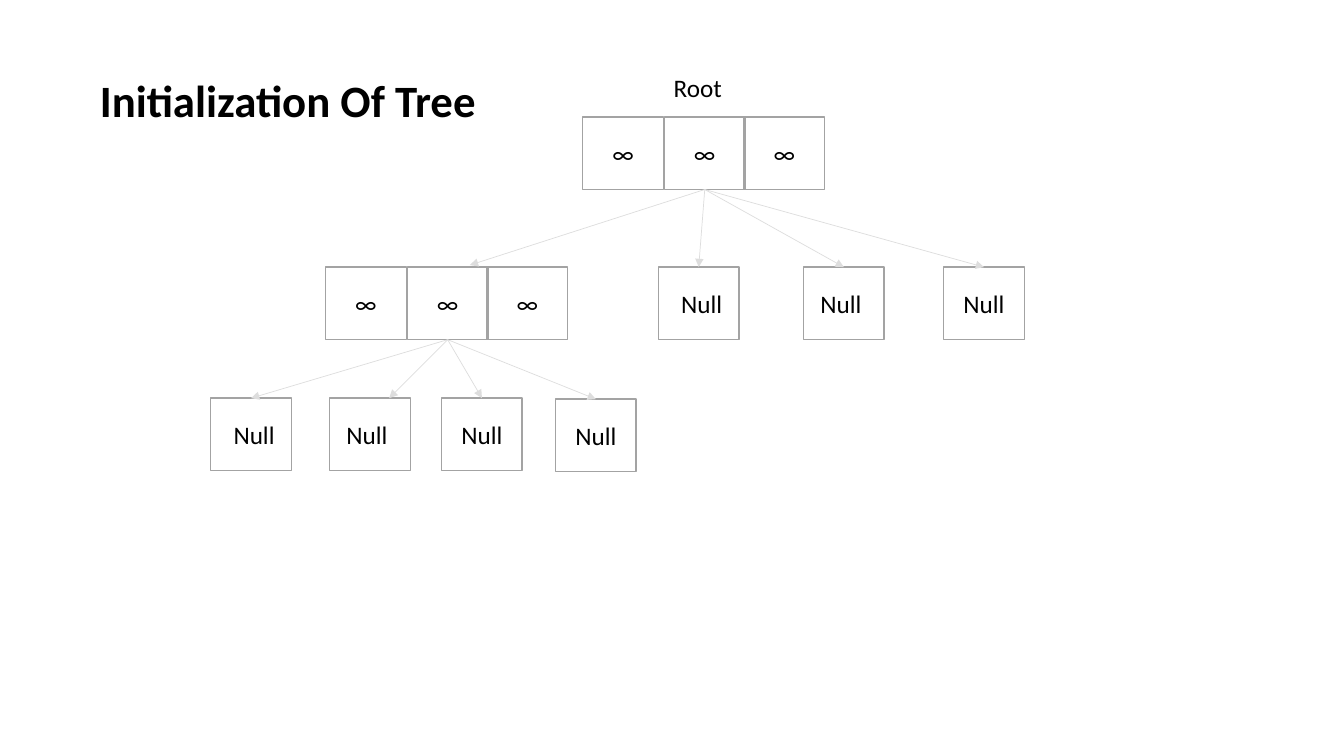
from lxml.etree import SubElement
from pptx import Presentation
from pptx.dml.color import RGBColor
from pptx.enum.shapes import MSO_CONNECTOR, MSO_SHAPE
from pptx.enum.text import MSO_ANCHOR, PP_ALIGN
from pptx.oxml.ns import qn
from pptx.util import Pt

SCALE = 9144  # EMU per px, 100 px to the inch
COLORS = {"text": "000000", "border": "A3A3A3", "arrow": "DDDDDD"}
FONT = "Calibri"
CELL_WIDTH, CELL_HEIGHT = 80, 72
CELL_OFFSETS = (0, 81, 160)
TOP, BOTTOM = 0, 2


def px(*lengths):
    return [length * SCALE for length in lengths]


def color(name):
    return RGBColor.from_string(COLORS[name])


def write(shape, text, size=18, bold=False, align=PP_ALIGN.CENTER):
    frame = shape.text_frame
    frame.text = text
    frame.word_wrap = True
    frame.vertical_anchor = MSO_ANCHOR.MIDDLE
    paragraph = frame.paragraphs[0]
    paragraph.alignment = align
    font = paragraph.runs[0].font
    font.name, font.size, font.bold = FONT, Pt(size), bold
    font.color.rgb = color("text")


def add_title(slide, text):
    title = slide.shapes.title
    title.left, title.top, title.width, title.height = px(89, 67, 397, 64)
    write(title, text, size=32, bold=True, align=PP_ALIGN.LEFT)


def add_label(slide, text, left, top, width, height):
    write(slide.shapes.add_textbox(*px(left, top, width, height)), text)


def add_cell(slide, text, left, top, shift=0):
    """Draw one box; shift moves its text sideways by that many px."""
    cell = slide.shapes.add_shape(
        MSO_SHAPE.RECTANGLE, *px(left, top, CELL_WIDTH, CELL_HEIGHT))
    cell.shadow.inherit = False
    cell.fill.background()
    cell.line.color.rgb = color("border")
    cell.line.width = Pt(1)
    write(cell, text)
    frame = cell.text_frame
    frame.margin_left, frame.margin_right = px(max(0, 2 * shift), max(0, -2 * shift))
    return cell


def add_node(slide, left, top):
    """Draw a node of three keys and return its middle cell."""
    cells = [add_cell(slide, "∞", left + offset, top) for offset in CELL_OFFSETS]
    return cells[1]


def add_arrow(slide, parent, end, child=None):
    """Point from the parent's bottom to end, or to the child's top if given."""
    arrow = slide.shapes.add_connector(MSO_CONNECTOR.STRAIGHT, *px(0, 0, *end))
    arrow.begin_connect(parent, BOTTOM)
    if child is not None:
        arrow.end_connect(child, TOP)
    arrow.line.color.rgb = color("arrow")
    arrow.line.width = Pt(0.5)
    SubElement(arrow.line._get_or_add_ln(), qn("a:tailEnd"), type="triangle")
    SubElement(arrow._element.spPr, qn("a:effectLst"))


def add_null(slide, parent, left, top, shift=0, end=None):
    """Draw an empty child with its arrow, which may stop at a free end point."""
    cell = add_cell(slide, "Null", left, top, shift)
    if end:
        add_arrow(slide, parent, end)
    else:
        add_arrow(slide, parent, (left, top), cell)


def main():
    presentation = Presentation()
    presentation.slide_width, presentation.slide_height = px(1333, 750)
    slide = presentation.slides.add_slide(presentation.slide_layouts[5])
    add_title(slide, "Initialization Of Tree")
    add_label(slide, "Root", 658, 67, 68, 40)

    root = add_node(slide, 578, 116)
    child = add_node(slide, 323, 265)
    add_arrow(slide, root, (466, 263))
    for left, shift in ((653, 3), (797, -3), (936, 0)):
        add_null(slide, root, left, 265, shift)

    add_null(slide, child, 209, 395, shift=3)
    add_null(slide, child, 327, 395, shift=-3, end=(386, 395))
    add_null(slide, child, 438, 395)
    add_null(slide, child, 551, 396)
    presentation.save("out.pptx")


if __name__ == "__main__":
    main()
